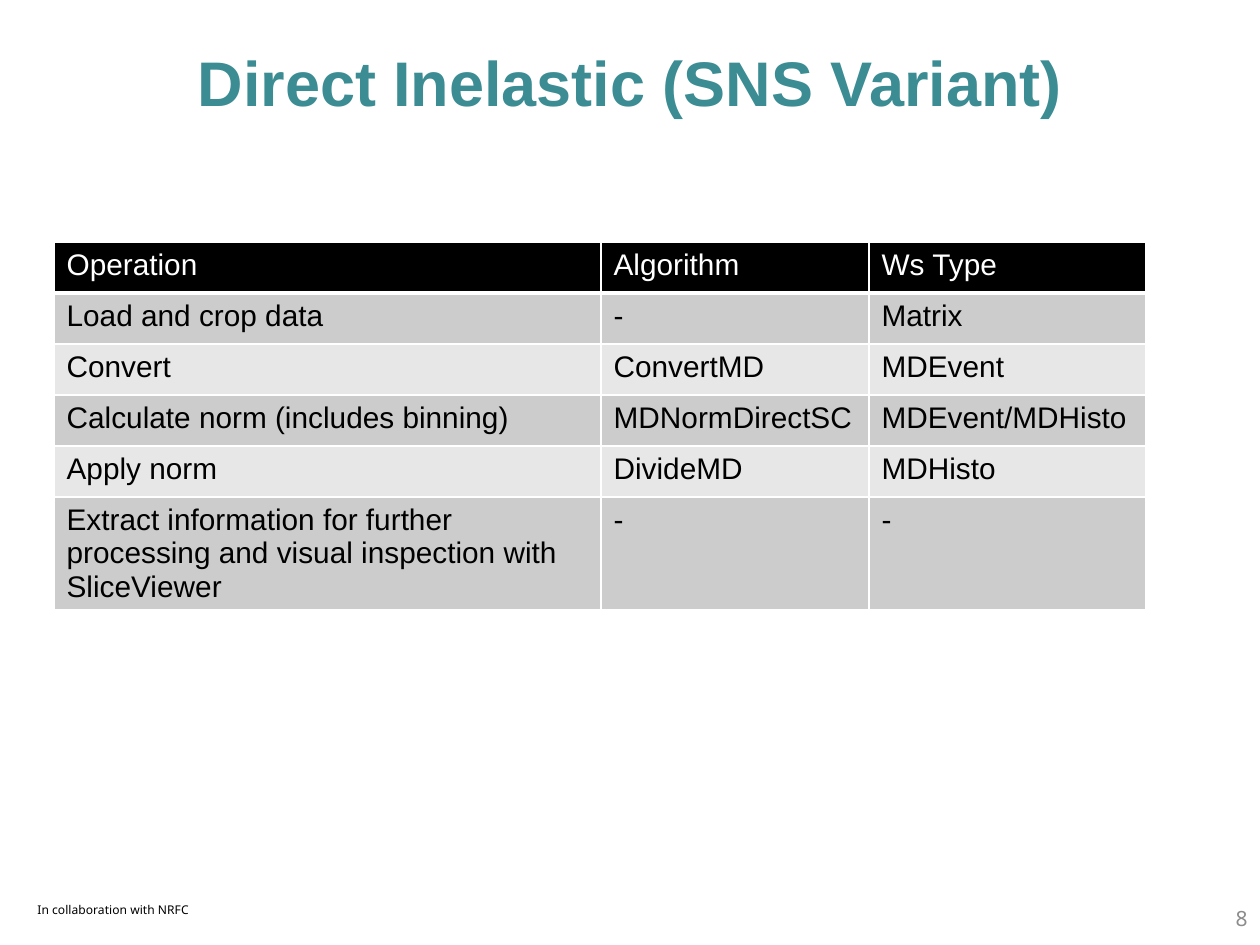
import pptx
import pptx.dml.color
import pptx.enum.text
import pptx.oxml.ns
import pptx.util
import lxml.etree

RGB = pptx.dml.color.RGBColor
ALIGN = pptx.enum.text.PP_ALIGN
ANCHOR = pptx.enum.text.MSO_ANCHOR

WHITE = RGB(0xFF, 0xFF, 0xFF)
BLACK = RGB(0x00, 0x00, 0x00)
TEAL = RGB(0x3C, 0x8C, 0x93)
GRAY = RGB(0x8C, 0x8C, 0x8C)
DARK_BAND = RGB(0xCC, 0xCC, 0xCC)
LIGHT_BAND = RGB(0xE7, 0xE7, 0xE7)

EMU_PER_PX = 914400 / 126

COLUMN_WIDTHS = [547, 268, 277]
ROW_HEIGHT = 51
LAST_ROW_HEIGHT = 112
ROWS = [
    ("Operation", "Algorithm", "Ws Type"),
    ("Load and crop data", "-", "Matrix"),
    ("Convert", "ConvertMD", "MDEvent"),
    ("Calculate norm (includes binning)", "MDNormDirectSC", "MDEvent/MDHisto"),
    ("Apply norm", "DivideMD", "MDHisto"),
    ("Extract information for further processing and visual inspection "
     "with SliceViewer", "-", "-"),
]


def px(n):
    return pptx.util.Emu(round(n * EMU_PER_PX))


def set_text(tf, text, size=17, color=BLACK, font="Arial", bold=False,
             align=ALIGN.LEFT, anchor=ANCHOR.TOP, baseline=None):
    tf.word_wrap = True
    tf.vertical_anchor = anchor
    p = tf.paragraphs[0]
    p.alignment = align
    r = p.add_run()
    r.text = text
    r.font.size = pptx.util.Pt(size)
    r.font.name = font
    r.font.bold = bold
    r.font.color.rgb = color
    if baseline:
        r.font._element.set("baseline", str(baseline * 1000))


def add_title(s, text, x, y, w, h):
    sp = s.shapes.title
    sp.left, sp.top, sp.width, sp.height = px(x), px(y), px(w), px(h)
    set_text(sp.text_frame, text, size=36, color=TEAL, bold=True,
             align=ALIGN.CENTER, anchor=ANCHOR.MIDDLE)


def add_label(s, text, x, y, w, h, **fmt):
    sp = s.shapes.add_textbox(px(x), px(y), px(w), px(h))
    set_text(sp.text_frame, text, size=12, font="Noto Sans", **fmt)


def set_borders(cell, bottom):
    tc_pr = cell._tc.get_or_add_tcPr()
    for side, width in (("L", 1), ("R", 1), ("T", 1), ("B", bottom)):
        ln = lxml.etree.SubElement(tc_pr, pptx.oxml.ns.qn("a:ln" + side),
                                   w=str(pptx.util.Pt(width)))
        fill = lxml.etree.SubElement(ln, pptx.oxml.ns.qn("a:solidFill"))
        lxml.etree.SubElement(fill, pptx.oxml.ns.qn("a:srgbClr"), val=str(WHITE))


def format_cell(cell, text, row):
    header = row == 0
    set_borders(cell, bottom=3 if header else 1)
    cell.fill.solid()
    band = DARK_BAND if row % 2 else LIGHT_BAND
    cell.fill.fore_color.rgb = BLACK if header else band
    set_text(cell.text_frame, text, color=WHITE if header else BLACK)


def add_operations_table(s, x, y):
    heights = [ROW_HEIGHT] * (len(ROWS) - 1) + [LAST_ROW_HEIGHT]
    table = s.shapes.add_table(len(ROWS), len(COLUMN_WIDTHS), px(x), px(y),
                               px(sum(COLUMN_WIDTHS)), px(sum(heights))).table
    for column, width in zip(table.columns, COLUMN_WIDTHS):
        column.width = px(width)
    for i, (height, texts) in enumerate(zip(heights, ROWS)):
        table.rows[i].height = px(height)
        for j, text in enumerate(texts):
            format_cell(table.cell(i, j), text, i)


def main():
    prs = pptx.Presentation()
    prs.slide_width = pptx.util.Inches(10)
    prs.slide_height = pptx.util.Inches(7.5)
    s = prs.slides.add_slide(prs.slide_layouts[5])

    # Title
    add_title(s, "Direct Inelastic (SNS Variant)", 0, 26, 1260, 110)

    # Operations and their algorithms
    add_operations_table(s, 54, 242)

    # Footer and slide number
    add_label(s, "In collaboration with NRFC", 25, 890, 208, 30, baseline=15)
    add_label(s, "8", 966, 893, 294, 50, color=GRAY, align=ALIGN.RIGHT,
              anchor=ANCHOR.MIDDLE)

    prs.save("out.pptx")


main()
